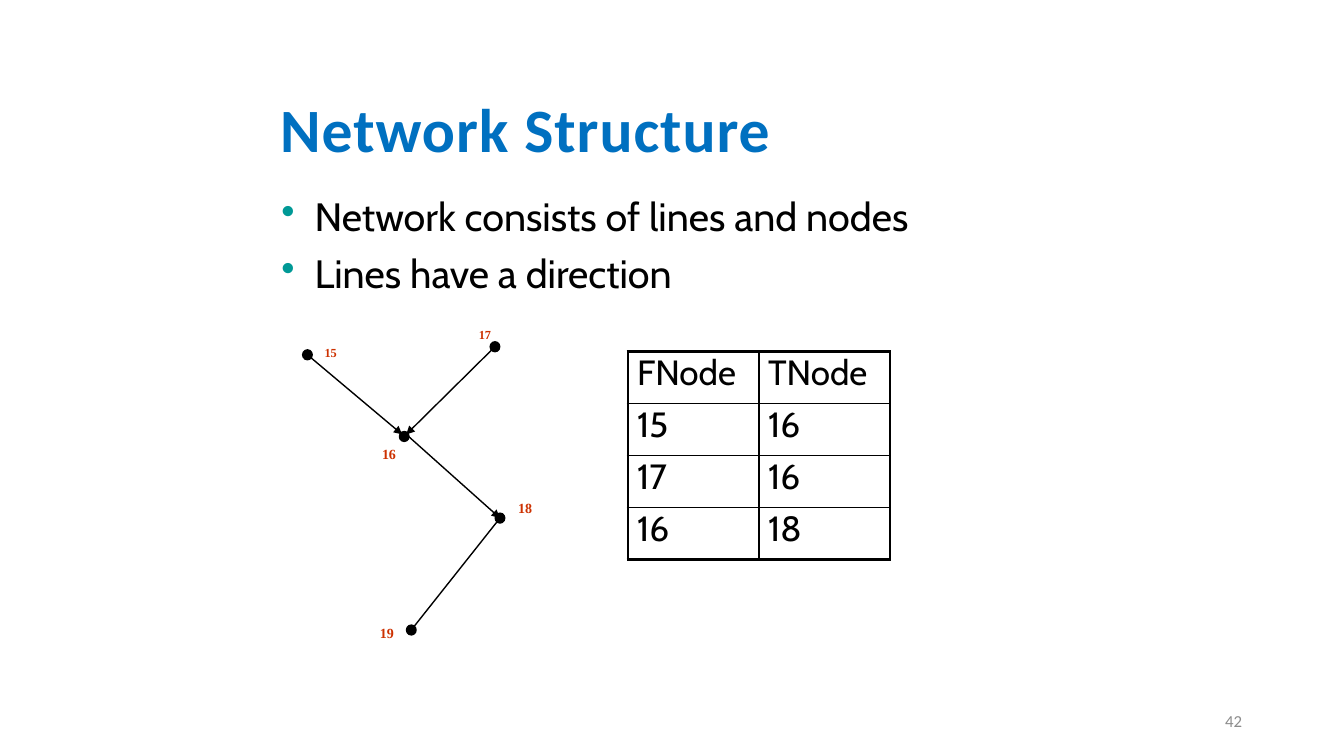
from lxml import etree
from pptx import Presentation
from pptx.dml.color import RGBColor
from pptx.enum.shapes import MSO_CONNECTOR, MSO_SHAPE
from pptx.enum.text import MSO_ANCHOR, PP_ALIGN
from pptx.oxml.ns import qn
from pptx.util import Inches, Pt

LINE, OVAL = MSO_CONNECTOR.STRAIGHT, MSO_SHAPE.OVAL
LEFT, RIGHT = PP_ALIGN.LEFT, PP_ALIGN.RIGHT
TOP, MIDDLE = MSO_ANCHOR.TOP, MSO_ANCHOR.MIDDLE
UNIT = Inches(0.1)
COLS, ROWS = 133.33, 75

HUES = {"title": "0070C0", "ink": "000000", "dot": "009996", "label": "CD3100", "page": "8C8C8C"}
FONTS = {
    "title": {"name": "Calibri", "size": Pt(44), "bold": True},
    "body": {"name": "Cabin", "size": Pt(28.2), "bold": False},
    "cell": {"name": "Cabin", "size": Pt(25), "bold": False},
    "small": {"name": "Times New Roman", "size": Pt(8.8), "bold": True},
    "label": {"name": "Times New Roman", "size": Pt(10), "bold": True},
    "page": {"name": "Calibri", "size": Pt(12), "bold": False},
}


def grid(*cells):
    return [round(cell * UNIT) for cell in cells]


def hue(name):
    return RGBColor.from_string(HUES[name])


def put(item, values):
    for key, value in values.items():
        setattr(item, key, value)


def add(parent, tag, **attrs):
    return etree.SubElement(parent, qn(tag), attrs)


class Board:
    def __init__(self, deck):
        self.slide = deck.slides.add_slide(deck.slide_layouts[5])
        self.shapes = self.slide.shapes

    def letter(self, frame, lines, font, color, align=LEFT, **extra):
        base = {"margin_left": 0, "margin_top": 0, "margin_right": 0,
                "margin_bottom": 0, "word_wrap": True, "vertical_anchor": TOP}
        put(frame, base | extra)
        for at, line in enumerate(lines):
            para = frame.paragraphs[0] if at == 0 else frame.add_paragraph()
            para.alignment = align
            run = para.add_run()
            run.text = line
            put(run.font, FONTS[font])
            run.font.color.rgb = hue(color)
        return frame.paragraphs

    def title(self, text, box):
        shape = self.shapes.title
        put(shape, dict(zip(("left", "top", "width", "height"), grid(*box))))
        para = self.letter(shape.text_frame, [text], "title", "title",
                           margin_top=Inches(0.26))[0]
        para.line_spacing = 0.9
        para.runs[0].font._element.set("spc", "70")

    def text(self, lines, box, font, color, **extra):
        shape = self.shapes.add_textbox(*grid(*box))
        return self.letter(shape.text_frame, lines, font, color, **extra)

    def points(self, lines, box):
        for at, para in enumerate(self.text(lines, box, "body", "ink")):
            para.space_before = Pt(6.7 if at else 0)
            props = para._p.get_or_add_pPr()
            props.set("marL", str(Inches(0.34)))
            props.set("indent", str(Inches(-0.33)))
            add(add(props, "a:buClr"), "a:srgbClr", val=HUES["dot"])
            add(props, "a:buChar", char="•")

    def node(self, x, y):
        wide, high = 0.95, 0.98
        dot = self.shapes.add_shape(OVAL, *grid(x - wide / 2, y - high / 2, wide, high))
        dot.shadow.inherit = False
        dot.fill.solid()
        dot.fill.fore_color.rgb = dot.line.color.rgb = hue("ink")
        dot.line.width = Pt(1)

    def edge(self, start, end, arrow):
        link = self.shapes.add_connector(LINE, *grid(*start, *end))
        link.line.color.rgb = hue("ink")
        link.line.width = Pt(1)
        props = link._element.spPr
        if arrow:
            add(props.get_or_add_ln(), "a:tailEnd", type="triangle", w="med", len="med")
        add(props, "a:effectLst")

    def table(self, data, box):
        deep, wide = len(data), len(data[0])
        table = self.shapes.add_table(deep, wide, *grid(*box)).table
        put(table, {"first_row": False, "horz_banding": False})
        for r, row in enumerate(data):
            for c, value in enumerate(row):
                cell = table.cell(r, c)
                self.letter(cell.text_frame, [value], "cell", "ink")
                put(cell, {"margin_left": Inches(0.09), "margin_right": 0,
                           "margin_top": 0, "margin_bottom": 0})
                cell.fill.background()
                outer = {"a:lnL": c == 0, "a:lnR": c == wide - 1,
                         "a:lnT": r == 0, "a:lnB": r == deep - 1}
                self.rim(cell, outer)

    def rim(self, cell, outer):
        props = cell._tc.get_or_add_tcPr()
        for at, (tag, edge) in enumerate(outer.items()):
            line = add(props, tag, w=str(Pt(2.25 if edge else 1)))
            add(add(line, "a:solidFill"), "a:srgbClr", val=HUES["ink"])
            props.insert(at, line)


def main():
    deck = Presentation()
    deck.slide_width, deck.slide_height = grid(COLS, ROWS)
    board = Board(deck)
    board.title("Network Structure", (27.8, 7.3, 86, 9.3))
    board.points(["Network consists of lines and nodes", "Lines have a direction"],
                 (27.8, 19.1, 66.1, 11))
    board.table([("FNode", "TNode"), ("15", "16"), ("17", "16"), ("16", "18")],
                (62.3, 34.9, 26, 20.6))

    nodes = {"15": (30.5, 35.2), "16": (40.1, 43.3), "17": (49.1, 34.4),
             "18": (49.6, 51.4), "19": (40.8, 62.5)}
    edges = [(nodes["15"], (39.9, 43.1), True), (nodes["17"], (40.3, 43.1), True),
             ((40.2, 43), nodes["18"], True), (nodes["19"], nodes["18"], False)]
    for edge in edges:
        board.edge(*edge)
    for spot in nodes.values():
        board.node(*spot)

    labels = {"15": (32.2, 34.3, "small"), "16": (37.9, 44.2, "label"),
              "17": (47.5, 32.5, "small"), "18": (51.4, 49.6, "label"),
              "19": (37.7, 62, "label")}
    for name, (x, y, font) in labels.items():
        board.text([name], (x, y, 2, 1.7), font, "label")

    board.text(["42"], (94.2, 69.5, 30, 4), "page", "page", align=RIGHT,
               margin_right=Inches(0.1), vertical_anchor=MIDDLE)
    deck.save("out.pptx")


if __name__ == "__main__":
    main()
